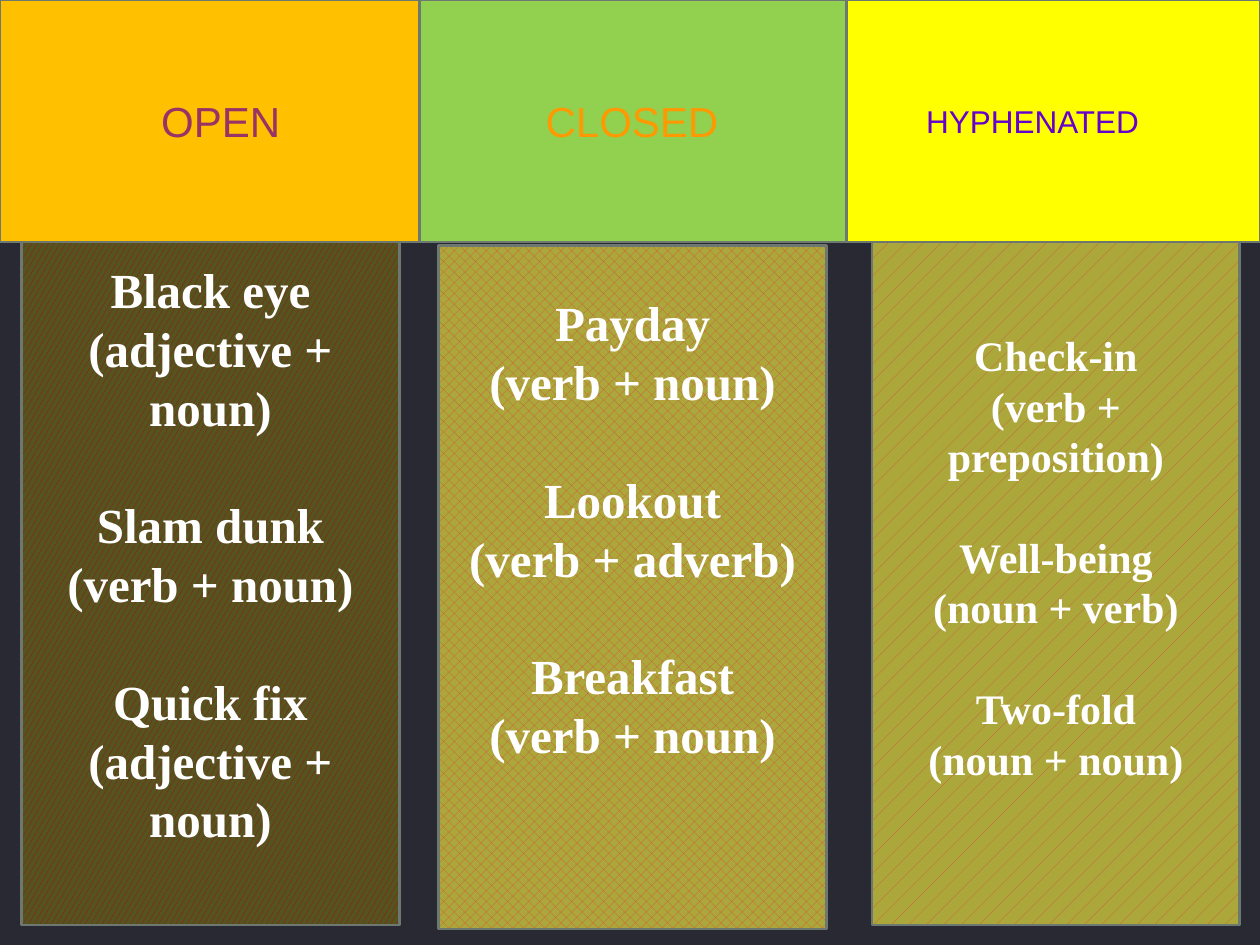
from dataclasses import dataclass

from pptx import Presentation
from pptx.dml.color import RGBColor as Rgb
from pptx.enum.dml import MSO_PATTERN as Pattern
from pptx.enum.shapes import MSO_SHAPE as Shape
from pptx.enum.text import MSO_ANCHOR as Anchor, PP_ALIGN as Align
from pptx.util import Inches, Pt


@dataclass(frozen=True)
class Theme:
    """Colours, fonts and type sizes of the deck."""
    background: str = "292934"
    outline: str = "6D7871"
    outline_width: float = 1.5
    card_text: str = "FFFFFF"
    brick: str = "D2533C"
    crimson: str = "A50021"
    olive: str = "ACA73B"
    dark_olive: str = "56541E"
    heading_font: str = "Arial"
    card_font: str = "Times New Roman"
    large: int = 28
    medium: int = 24
    small: int = 18
    leading: float = 1.2


@dataclass(frozen=True)
class Box:
    """A rectangle in hundredths of the slide's width and height."""
    left: float
    top: float
    width: float
    height: float


THEME = Theme()
WIDTH, HEIGHT = Inches(10), Inches(7.5)
HEADING_HEIGHT, CARD_HEIGHT = 25.6, 72.3
EDGES = (0, 33.3, 67.2, 100)

HEADINGS = (
    ("OPEN", "FFC000", "993366", THEME.medium, 12.8),
    ("CLOSED", "92D050", "FF9900", THEME.medium, 10),
    ("HYPHENATED", "FFFF00", "6600CC", THEME.small, 6.3),
)

CARDS = (
    (Box(1.7, HEADING_HEIGHT, 30, CARD_HEIGHT), 1.9, THEME.large,
     ("lgConfetti", THEME.crimson, THEME.dark_olive),
     (("Black eye", "(adjective + noun)"),
      ("Slam dunk", "(verb + noun)"),
      ("Quick fix", "(adjective + noun)"))),
    (Box(34.8, 26, 30.8, CARD_HEIGHT), 5, THEME.large,
     ("pct40", THEME.brick, THEME.olive),
     (("Payday", "(verb + noun)"),
      ("Lookout", "(verb + adverb)"),
      ("Breakfast", "(verb + noun)"))),
    (Box(69.2, HEADING_HEIGHT, 29.2, CARD_HEIGHT), 9.3, THEME.medium,
     ("pct5", THEME.brick, THEME.olive),
     (("Check-in", "(verb + preposition)"),
      ("Well-being", "(noun + verb)"),
      ("Two-fold", "(noun + noun)"))),
)


def across(share):
    """Turn hundredths of the slide width into a length."""
    return int(WIDTH * share / 100)


def down(share):
    """Turn hundredths of the slide height into a length."""
    return int(HEIGHT * share / 100)


def add_panel(page, box):
    """Add an outlined rectangle without a shadow."""
    panel = page.shapes.add_shape(Shape.RECTANGLE, across(box.left), down(box.top),
                                  across(box.width), down(box.height))
    panel.shadow.inherit = False
    panel.line.color.rgb = Rgb.from_string(THEME.outline)
    panel.line.width = Pt(THEME.outline_width)
    panel.text_frame.word_wrap = True
    return panel


def add_span(para, text, font, size, color, bold=False):
    """Add one formatted run to a paragraph."""
    span = para.add_run()
    span.text = text
    span.font.name = font
    span.font.size = Pt(size)
    span.font.bold = bold
    span.font.color.rgb = Rgb.from_string(color)


def add_heading(page, box, text, fill, color, size, indent):
    """Add a coloured heading whose label starts at an indent."""
    panel = add_panel(page, box)
    panel.fill.solid()
    panel.fill.fore_color.rgb = Rgb.from_string(fill)
    frame = panel.text_frame
    frame.vertical_anchor = Anchor.MIDDLE
    frame.margin_left = across(indent)
    para = frame.paragraphs[0]
    para.alignment = Align.LEFT
    add_span(para, text, THEME.heading_font, size, color)


def add_card(page, box, inset, size, texture, examples):
    """Add a patterned card listing words with their make-up."""
    panel = add_panel(page, box)
    pattern, front, back = texture
    panel.fill.patterned()
    panel.fill.pattern = Pattern.from_xml(pattern)
    panel.fill.fore_color.rgb = Rgb.from_string(front)
    panel.fill.back_color.rgb = Rgb.from_string(back)
    frame = panel.text_frame
    frame.vertical_anchor = Anchor.TOP
    frame.margin_top = down(inset)
    line_height = Pt(size * THEME.leading)
    for number, example in enumerate(examples):
        for row, text in enumerate(example):
            first = number == row == 0
            para = frame.paragraphs[0] if first else frame.add_paragraph()
            para.alignment = Align.CENTER
            para.line_spacing = line_height
            if number and row == 0:
                para.space_before = line_height
            add_span(para, text, THEME.card_font, size, THEME.card_text, bold=True)


def build_compound_words(deck):
    """Build the slide of three kinds of compound words."""
    page = deck.slides.add_slide(deck.slide_layouts[6])
    page.background.fill.solid()
    page.background.fill.fore_color.rgb = Rgb.from_string(THEME.background)
    for left, right, heading in zip(EDGES, EDGES[1:], HEADINGS):
        add_heading(page, Box(left, 0, right - left, HEADING_HEIGHT), *heading)
    for card in CARDS:
        add_card(page, *card)


def main():
    """Create and save the deck."""
    deck = Presentation()
    deck.slide_width, deck.slide_height = WIDTH, HEIGHT
    build_compound_words(deck)
    deck.save("out.pptx")


if __name__ == "__main__":
    main()
